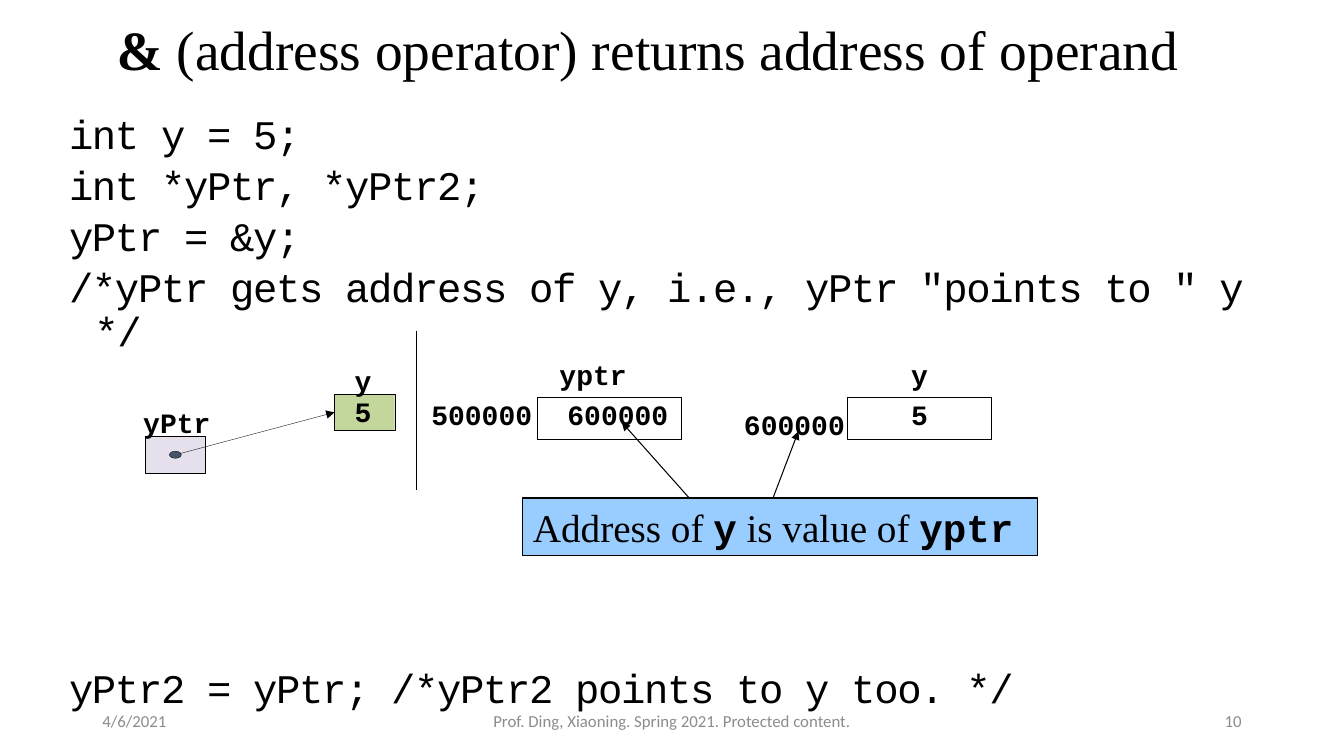
"""Build a slide on the address operator with two memory diagrams."""
from lxml.etree import SubElement
from pptx import Presentation
from pptx.dml.color import RGBColor
from pptx.enum.shapes import MSO_CONNECTOR as LINE, MSO_SHAPE as SHAPE
from pptx.enum.text import MSO_ANCHOR as ANCHOR, PP_ALIGN as ALIGN
from pptx.oxml.ns import qn
from pptx.util import Cm, Pt

COLORS = {"ink": "000000", "pointer": "E6E0EC", "value": "C3D69B",
          "dot": "44546A", "callout": "99CCFF", "footer": "8C8C8C"}
SERIF, MONO, SANS = "Times New Roman", "Courier New", "Calibri"

TITLE = [("&", SERIF, True), (" (address operator) returns address of operand", SERIF, False)]
CODE = [
    (2.77, ["int y = 5;", "int *yPtr, *yPtr2;", "yPtr = &y;",
            '/*yPtr gets address of y, i.e., yPtr "points to " y */']),
    (16.71, ["yPtr2 = yPtr; /*yPtr2 points to y too. */"]),
]
POINTER_BOX = (3.66, 11, 1.52, 0.92)
VALUE_BOX = (8.43, 9.93, 1.52, 0.92)
MEMORY_CELLS = [(left, 10.01, 3.63, 1.07) for left in (13.54, 21.36)]
POINTER_LABELS = [("yPtr", 3.61, 10.44), ("y", 8.94, 9.37), ("5", 8.94, 10.16)]
MEMORY_LABELS = [("yptr", 14.1, 9.17), ("500000", 10.87, 10.19), ("600000", 14.3, 10.19),
                 ("y", 22.96, 9.17), ("600000", 18.75, 10.44), ("5", 22.96, 10.19)]
DIVIDER = (10.49, 8.33, 10.49, 12.34)
CALLOUT_BOX = (13.18, 12.55, 12.98, 1.45)
CALLOUT = [("Address of ", SERIF, False), ("y", MONO, True),
           (" is value of ", SERIF, False), ("yptr", MONO, True)]
CALLOUT_ARROWS = [(19.48, 12.55, 20.12, 10.87), (17.37, 12.55, 15.67, 10.64)]
FOOTER = [("4/6/2021", 2.33, 7.62, ALIGN.LEFT),
          ("Prof. Ding, Xiaoning. Spring 2021. Protected content.", 11.22, 11.43, ALIGN.CENTER),
          ("10", 23.92, 7.62, ALIGN.RIGHT)]


def rgb(name):
    return RGBColor.from_string(COLORS[name])


def write(p, runs, size, color="ink", spacing=None, align=ALIGN.LEFT):
    p.alignment = align
    p.line_spacing = spacing
    for text, font, bold in runs:
        r = p.add_run()
        r.text = text
        r.font.name, r.font.size, r.font.bold = font, Pt(size), bold
        r.font.color.rgb = rgb(color)


def add_text(s, box, anchor=ANCHOR.TOP, inset=True):
    tf = s.shapes.add_textbox(*map(Cm, box)).text_frame
    tf.word_wrap = True
    tf.vertical_anchor = anchor
    if not inset:
        tf.margin_left = tf.margin_top = tf.margin_right = tf.margin_bottom = 0
    return tf


def add_code(s, top, lines):
    tf = add_text(s, (0.23, top, 33.05, 1.4 * len(lines)))
    for i, line in enumerate(lines):
        p = tf.add_paragraph() if i else tf.paragraphs[0]
        write(p, [(line, MONO, False)], 29, spacing=0.9)
        p.space_before = Pt(5 if i else 0)
        pPr = p._p.get_or_add_pPr()
        pPr.set("marL", str(Cm(1.9)))
        pPr.set("indent", str(-Cm(0.64)))
        p.runs[0].font._element.set("spc", "-100")


def add_box(s, box, fill=None, width=0.25, kind=SHAPE.RECTANGLE):
    sp = s.shapes.add_shape(kind, *map(Cm, box))
    sp.shadow.inherit = False
    if fill:
        sp.fill.solid()
        sp.fill.fore_color.rgb = rgb(fill)
    else:
        sp.fill.background()
    sp.line.color.rgb, sp.line.width = rgb("ink"), Pt(width)
    return sp


def add_line(s, ends, width=0.75, arrow=True):
    line = s.shapes.add_connector(LINE.STRAIGHT, *map(Cm, ends))
    line.line.color.rgb, line.line.width = rgb("ink"), Pt(width)
    if arrow:
        SubElement(line.line._get_or_add_ln(), qn("a:tailEnd"), type="triangle")
    SubElement(line._element.spPr, qn("a:effectLst"))
    return line


def add_labels(s, labels, spacing):
    for text, left, top in labels:
        tf = add_text(s, (left, top, 2.8, 0.6), inset=False)
        write(tf.paragraphs[0], [(text, MONO, True)], 20, spacing=spacing)


def add_pointer_diagram(s):
    add_box(s, POINTER_BOX, "pointer")
    value = add_box(s, VALUE_BOX, "value")
    left, top, width, height = POINTER_BOX
    x, y = left + width / 2, top + height / 2
    arrow = add_line(s, (x, y, VALUE_BOX[0], VALUE_BOX[1] + height / 2), 0.25)
    arrow.end_connect(value, 1)
    add_box(s, (x - 0.15, y - 0.09, 0.3, 0.18), "dot", kind=SHAPE.OVAL)
    add_labels(s, POINTER_LABELS, 0.72)


def add_memory_diagram(s):
    add_labels(s, MEMORY_LABELS, 0.8)
    for cell in MEMORY_CELLS:
        add_box(s, cell)
    add_line(s, DIVIDER, arrow=False)
    tf = add_box(s, CALLOUT_BOX, "callout", 0.75).text_frame
    tf.vertical_anchor = ANCHOR.TOP
    write(tf.paragraphs[0], CALLOUT, 28)
    for ends in CALLOUT_ARROWS:
        add_line(s, ends)


def main():
    prs = Presentation()
    prs.slide_width, prs.slide_height = Cm(33.87), Cm(19.05)
    s = prs.slides.add_slide(prs.slide_layouts[6])
    tf = add_text(s, (2.69, -0.08, 28.86, 2.79), ANCHOR.MIDDLE)
    write(tf.paragraphs[0], TITLE, 39.6, spacing=0.9)
    for top, lines in CODE:
        add_code(s, top, lines)
    add_pointer_diagram(s)
    add_memory_diagram(s)
    for text, left, width, align in FOOTER:
        tf = add_text(s, (left, 17.65, width, 1.01), ANCHOR.MIDDLE)
        write(tf.paragraphs[0], [(text, SANS, False)], 12, "footer", align=align)
    prs.save("out.pptx")


if __name__ == "__main__":
    main()
